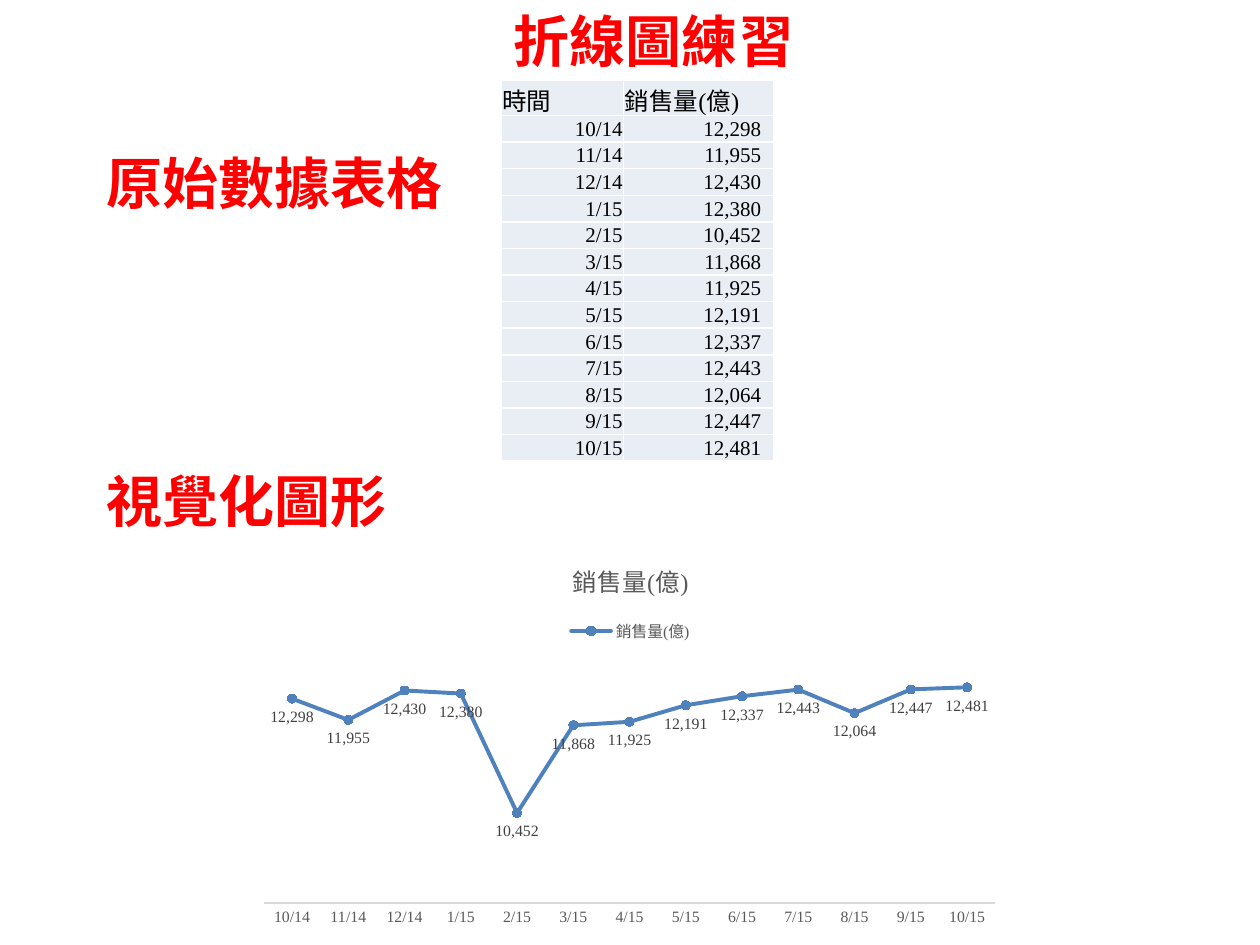
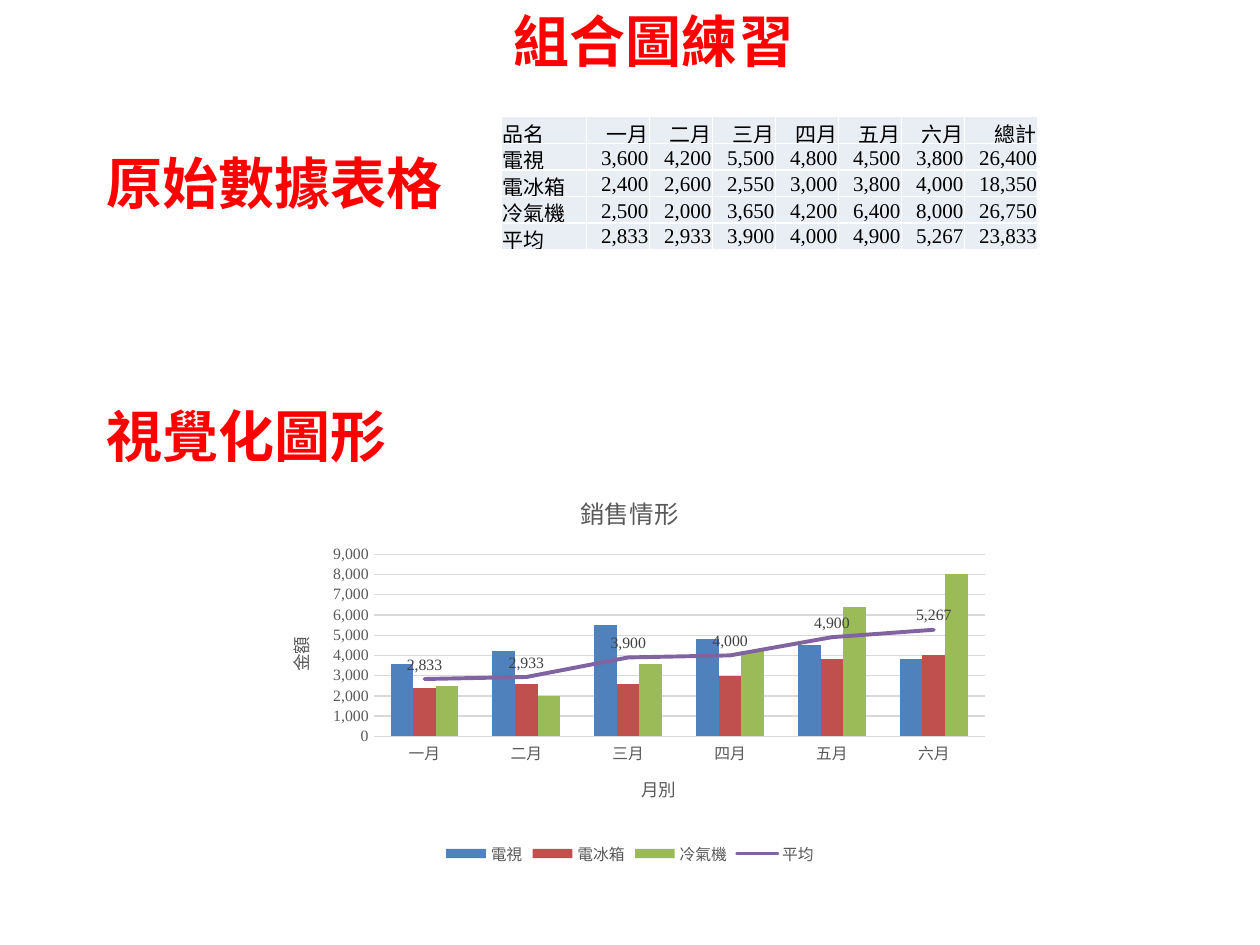
"""Two chart exercises: a line chart and a combined chart, each with its data table."""
import pptx
import pptx.chart.data
import pptx.dml.color
import pptx.enum.chart
import pptx.enum.text
import pptx.oxml
import pptx.oxml.ns
import pptx.util

Pt = pptx.util.Pt
qn = pptx.oxml.ns.qn
XL = pptx.enum.chart
ANCHOR = pptx.enum.text.MSO_ANCHOR
ALIGN = pptx.enum.text.PP_ALIGN

RED, BLACK, CELL = "FF0000", "000000", "E9EDF4"
GREY, LABEL_GREY, RULE = "595959", "404040", "D9D9D9"
BLUE, BRICK, GREEN, PURPLE = "4F81BD", "C0504D", "9BBB59", "8064A2"
HEADING_FONT, DATA_FONT = "Arial", "Times New Roman"
TABLE_LEFT = 286.5
NUMBER = "#,##0"
CHART_NS = "http://schemas.openxmlformats.org/drawingml/2006/chart"

SALES_NAME = "銷售量(億)"
SALES = {
    "10/14": 12298, "11/14": 11955, "12/14": 12430, "1/15": 12380, "2/15": 10452,
    "3/15": 11868, "4/15": 11925, "5/15": 12191, "6/15": 12337, "7/15": 12443,
    "8/15": 12064, "9/15": 12447, "10/15": 12481,
}
MONTHS = ["一月", "二月", "三月", "四月", "五月", "六月"]
PRODUCTS = {
    "電視": [3600, 4200, 5500, 4800, 4500, 3800],
    "電冰箱": [2400, 2600, 2550, 3000, 3800, 4000],
    "冷氣機": [2500, 2000, 3650, 4200, 6400, 8000],
}
AVERAGE_NAME = "平均"


def rgb(hex_colour):
    """Turn a hex string into a colour."""
    return pptx.dml.color.RGBColor.from_string(hex_colour)


def style_font(font, size, colour, name=DATA_FONT, bold=False):
    """Set the face, size, colour and weight of a font."""
    font.name, font.size, font.bold = name, Pt(size), bold
    font.color.rgb = rgb(colour)


def style_line(line, colour, width):
    """Set the colour and width of a line."""
    line.color.rgb = rgb(colour)
    line.width = Pt(width)


def fill_heading(shape, text, left, top, width):
    """Place a red heading in a title placeholder or text box."""
    shape.left, shape.top, shape.width, shape.height = map(Pt, (left, top, width, 46))
    frame = shape.text_frame
    frame.text = text
    frame.word_wrap = True
    frame.vertical_anchor = ANCHOR.TOP
    frame.auto_size = pptx.enum.text.MSO_AUTO_SIZE.SHAPE_TO_FIT_TEXT
    paragraph = frame.paragraphs[0]
    paragraph.alignment = ALIGN.LEFT
    style_font(paragraph.font, 32, RED, HEADING_FONT, True)


def add_exercise(deck, title, chart_heading_top):
    """Add a slide with its title and the two section headings."""
    slide = deck.slides.add_slide(deck.slide_layouts.get_by_name("Title Only"))
    fill_heading(slide.shapes.title, title, TABLE_LEFT, 0, 357)
    for text, top in (("原始數據表格", 81.5), ("視覺化圖形", chart_heading_top)):
        box = slide.shapes.add_textbox(0, 0, 0, 0)
        fill_heading(box, text, 54, top, 215)
    return slide


def add_data_table(slide, top, rows, widths, heights):
    """Add a table of evenly filled cells, numbers to the right."""
    table = slide.shapes.add_table(
        len(rows), len(widths), Pt(TABLE_LEFT), Pt(top), Pt(sum(widths)), Pt(sum(heights))
    ).table
    table.first_row = table.horz_banding = False
    for column, width in zip(table.columns, widths):
        column.width = Pt(width)
    for row, height, texts in zip(table.rows, heights, rows):
        row.height = Pt(height)
        for cell, text in zip(row.cells, texts):
            cell.text = text
            cell.fill.solid()
            cell.fill.fore_color.rgb = rgb(CELL)
            cell.margin_left = cell.margin_right = cell.margin_top = Pt(0.6)
            cell.margin_bottom = Pt(0)
            cell.vertical_anchor = ANCHOR.MIDDLE
            paragraph = cell.text_frame.paragraphs[0]
            paragraph.alignment = ALIGN.RIGHT
            style_font(paragraph.font, 12, BLACK)
    return table


def place(element, chart_size, *box):
    """Lay out a plot area or title inside its chart, in points."""
    for old in element.findall(qn("c:layout")):
        element.remove(old)
    target = '<c:layoutTarget val="inner"/>' if len(box) == 4 else ""
    modes = "".join(f'<c:{key}Mode val="edge"/>' for key in "xy")
    values = "".join(
        f'<c:{key} val="{length / whole:.4f}"/>'
        for key, length, whole in zip("xywh", box, chart_size * 2)
    )
    layout = pptx.oxml.parse_xml(
        f'<c:layout xmlns:c="{CHART_NS}"><c:manualLayout>{target}{modes}{values}'
        "</c:manualLayout></c:layout>"
    )
    text = element.find(qn("c:tx"))
    element.insert(0 if text is None else element.index(text) + 1, layout)


def set_title(titled, text, size):
    """Write the title of a chart or an axis."""
    titled.text_frame.text = text
    style_font(titled.text_frame.paragraphs[0].font, size, GREY)


def add_chart(slide, kind, box, title, categories, series, legend_position, plot_box):
    """Add a chart with the shared title, legend and category axis style."""
    data = pptx.chart.data.CategoryChartData(number_format=NUMBER)
    data.categories = categories
    for name, values in series.items():
        data.add_series(name, values)
    chart = slide.shapes.add_chart(kind, *map(Pt, box), data).chart
    style_font(chart.font, 10, BLACK)
    chart.has_title = True
    set_title(chart.chart_title, title, 14)
    chart.has_legend = True
    chart.legend.position = legend_position
    chart.legend.include_in_layout = False
    style_font(chart.legend.font, 9, GREY)
    chart.plots[0].vary_by_categories = False
    axis = chart.category_axis
    axis.major_tick_mark = XL.XL_TICK_MARK.NONE
    style_font(axis.tick_labels.font, 9, GREY)
    style_line(axis.format.line, RULE, 0.75)
    place(chart.element.find(".//" + qn("c:plotArea")), box[2:], *plot_box)
    return chart


def style_trend(chart, series, colour, label_position):
    """Style a round-capped line series and its value labels."""
    series.smooth = False
    style_line(series.format.line, colour, 2.25)
    steps = map(qn, ("c:lineChart", "c:ser", "c:spPr", "a:ln"))
    chart.element.find(".//" + "/".join(steps)).set("cap", "rnd")
    labels = series.data_labels
    labels.show_value = True
    labels.position = label_position
    labels.number_format = NUMBER
    labels.number_format_is_linked = False
    style_font(labels.font, 9, LABEL_GREY)


def move_last_series_to_line(chart):
    """Draw the last column series as a line on the same axes."""
    bars = chart.element.find(".//" + qn("c:barChart"))
    last = bars.findall(qn("c:ser"))[-1]
    axes = "".join(
        f'<c:axId val="{axis.get("val")}"/>' for axis in bars.findall(qn("c:axId"))
    )
    lines = pptx.oxml.parse_xml(
        f'<c:lineChart xmlns:c="{CHART_NS}"><c:grouping val="standard"/>'
        f'<c:varyColors val="0"/><c:marker val="1"/>{axes}</c:lineChart>'
    )
    for flag in last.findall(qn("c:invertIfNegative")):
        last.remove(flag)
    lines.insert(2, last)
    bars.addnext(lines)
    return chart.plots[1].series[0]


def build_line_exercise(deck):
    """Build the slide on monthly sales."""
    slide = add_exercise(deck, "折線圖練習", 263)
    rows = [["時間", SALES_NAME]] + [[month, f"{v:,}"] for month, v in SALES.items()]
    table = add_data_table(slide, 46, rows, [69.9, 85.8], [20] + [15.2] * len(SALES))
    for cell in table.rows[0].cells:
        heading = cell.text_frame.paragraphs[0]
        heading.alignment = ALIGN.LEFT
        heading.font.size = Pt(14)
    for row in range(1, len(rows)):
        table.cell(row, 1).margin_right = Pt(7.2)

    chart = add_chart(
        slide, XL.XL_CHART_TYPE.LINE_MARKERS, (142.5, 309, 435.5, 224.5), SALES_NAME,
        list(SALES), {SALES_NAME: list(SALES.values())},
        XL.XL_LEGEND_POSITION.TOP, (8.3, 65.4, 418, 141.7),
    )
    amounts = chart.value_axis
    amounts.minimum_scale, amounts.maximum_scale = 9000, 13000
    amounts.has_major_gridlines = False
    amounts.visible = False
    sales = chart.plots[0].series[0]
    style_trend(chart, sales, BLUE, XL.XL_LABEL_POSITION.BELOW)
    sales.marker.style = XL.XL_MARKER_STYLE.CIRCLE
    sales.marker.size = 5
    sales.marker.format.fill.solid()
    sales.marker.format.fill.fore_color.rgb = rgb(BLUE)
    style_line(sales.marker.format.line, BLUE, 0.75)


def build_combined_exercise(deck):
    """Build the slide on product sales and their average."""
    slide = add_exercise(deck, "組合圖練習", 226)
    averages = [round(sum(month) / len(PRODUCTS)) for month in zip(*PRODUCTS.values())]
    rows = [["品名", *MONTHS, "總計"]]
    for name, values in {**PRODUCTS, AVERAGE_NAME: averages}.items():
        rows.append([name, *(f"{value:,}" for value in [*values, sum(values)])])
    table = add_data_table(slide, 66.7, rows, [48.6] + [36] * 6 + [42], [15.2] * 5)
    for index, row in enumerate(table.rows):
        for column, cell in enumerate(row.cells):
            if index < len(PRODUCTS) + 1 or column == 0:
                cell.vertical_anchor = ANCHOR.BOTTOM
        row.cells[0].text_frame.paragraphs[0].alignment = ALIGN.LEFT

    size = (422, 227)
    series = {name: [round(v, -2) for v in values] for name, values in PRODUCTS.items()}
    series[AVERAGE_NAME] = averages
    chart = add_chart(
        slide, XL.XL_CHART_TYPE.COLUMN_CLUSTERED, (149, 270, *size), "銷售情形",
        MONTHS, series, XL.XL_LEGEND_POSITION.BOTTOM, (64.5, 46.7, 349.3, 104.2),
    )
    amounts = chart.value_axis
    amounts.minimum_scale, amounts.maximum_scale = 0, 9000
    amounts.major_unit = 1000
    amounts.major_tick_mark = XL.XL_TICK_MARK.NONE
    amounts.format.line.fill.background()
    amounts.tick_labels.number_format = NUMBER
    amounts.tick_labels.number_format_is_linked = False
    style_font(amounts.tick_labels.font, 9, GREY)
    style_line(amounts.major_gridlines.format.line, RULE, 0.75)
    for axis, text, left, top in (
        (chart.category_axis, "月別", 215.8, 170.8), (amounts, "金額", 12.9, 92.5)
    ):
        set_title(axis.axis_title, text, 10)
        place(axis.axis_title.element, size, left, top)

    average = move_last_series_to_line(chart)
    average.marker.style = XL.XL_MARKER_STYLE.NONE
    style_trend(chart, average, PURPLE, XL.XL_LABEL_POSITION.ABOVE)
    columns = chart.plots[0]
    columns.gap_width, columns.overlap = 150, 0
    for product, colour in zip(columns.series, (BLUE, BRICK, GREEN)):
        product.format.fill.solid()
        product.format.fill.fore_color.rgb = rgb(colour)


def main():
    """Build both slides and save them."""
    deck = pptx.Presentation()
    deck.slide_width, deck.slide_height = Pt(720), Pt(540)
    build_line_exercise(deck)
    build_combined_exercise(deck)
    deck.save("out.pptx")


main()
